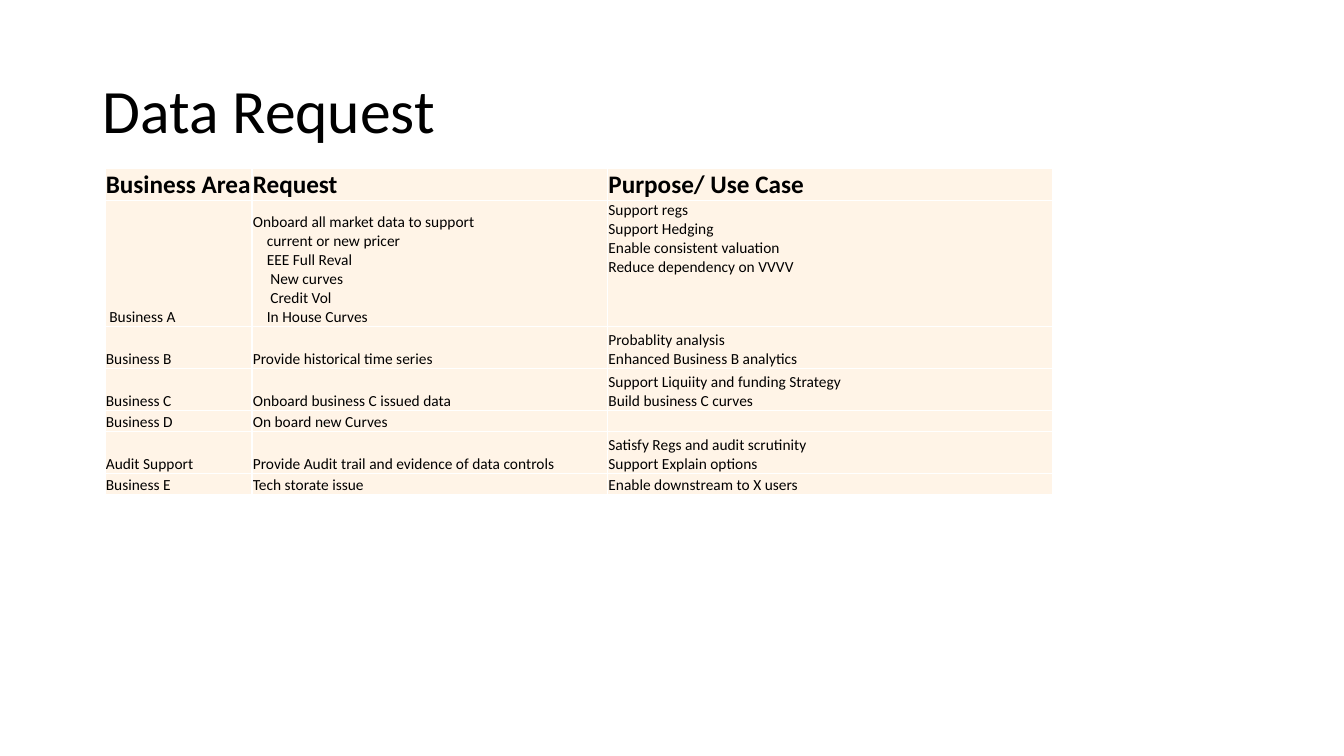
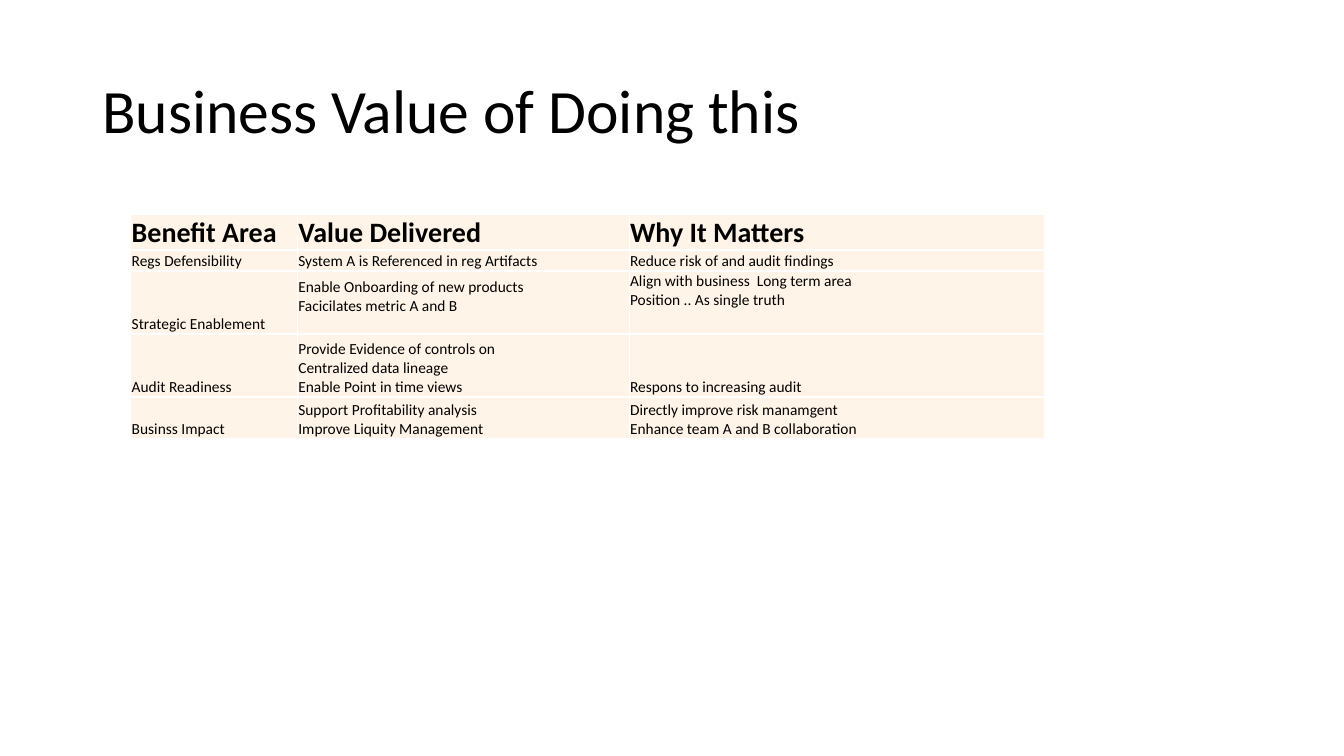
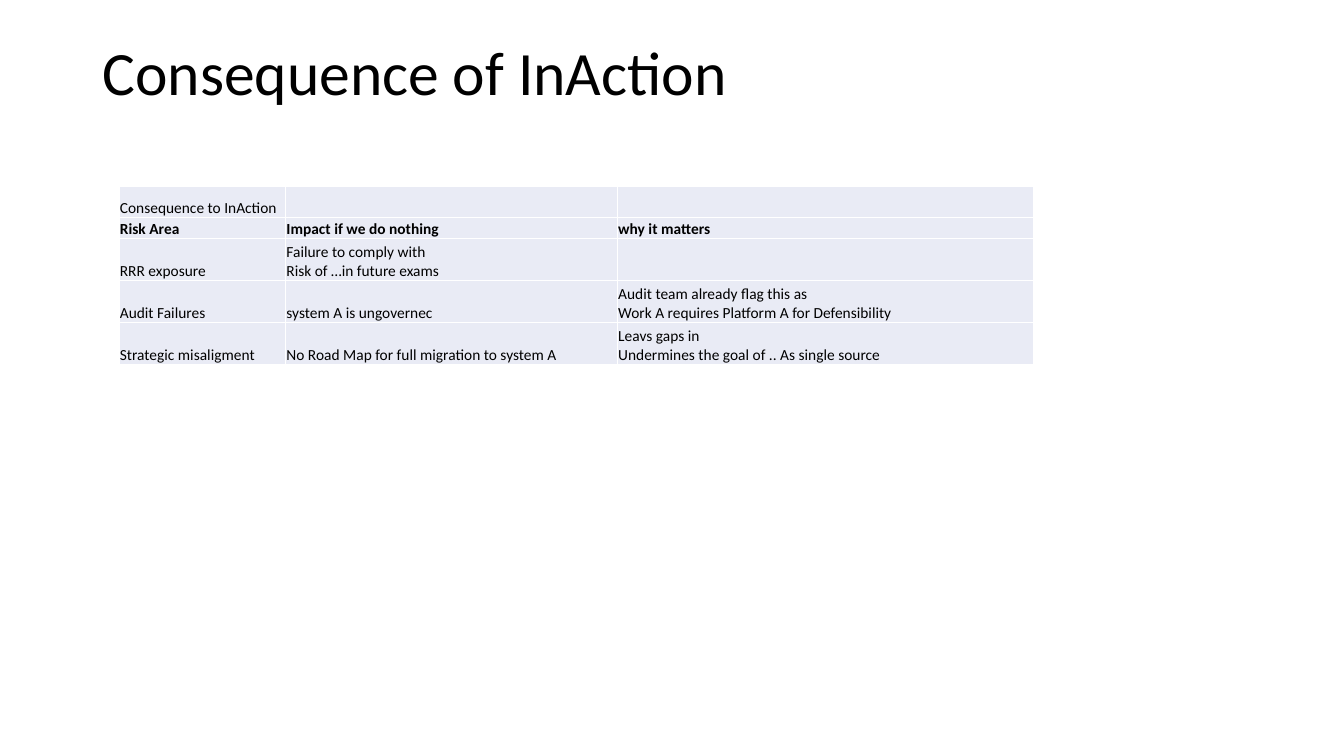
from dataclasses import dataclass
from itertools import zip_longest

from pptx import Presentation
from pptx.dml.color import RGBColor
from pptx.enum.text import MSO_ANCHOR, MSO_AUTO_SIZE, PP_ALIGN
from pptx.util import Pt

# Shared look
FONT = "Calibri"
INK = "000000"
CREAM = "FFF4E7"
MIST = "E9EBF5"
BODY = 11
INSET = 0.6


@dataclass(frozen=True)
class Cell:
    text: str
    pads: tuple[float, ...] = ()  # left indent of each line
    top: bool = False
    foot: float = 0  # space kept free below the text


@dataclass(frozen=True)
class Grid:
    left: float
    top: float
    cols: list[float]
    highs: list[float]
    fill: str
    head: int  # index of the bold row
    size: float  # text size of the bold row
    rows: list[list[str | Cell]]


@dataclass(frozen=True)
class Page:
    title: str
    grid: Grid
    high: bool = False  # title sits at the top of its box


PAGES = [
    Page("Data Request", Grid(
        75, 120.5, [105, 254, 318], [22.5, 90, 30, 30, 15, 30, 15],
        CREAM, 0, 18, [
            ["Business Area", "Request", "Purpose/ Use Case"],
            [Cell("Business A", (2.5,)),
             Cell("Onboard all market data to support\ncurrent or new pricer\n"
                  "EEE Full Reval\nNew curves\nCredit Vol\nIn House Curves",
                  (0, 10, 10, 12.5, 12.5, 10)),
             Cell("Support regs\nSupport Hedging\nEnable consistent valuation\n"
                  "Reduce dependency on VVVV", top=True)],
            ["Business B", "Provide historical time series",
             "Probablity analysis\nEnhanced Business B analytics"],
            ["Business C", "Onboard business C issued data",
             "Support Liquiity and funding Strategy\nBuild business C curves"],
            ["Business D", "On board new Curves", ""],
            ["Audit Support", "Provide Audit trail and evidence of data controls",
             "Satisfy Regs and audit scrutinity\nSupport Explain options"],
            ["Business E", "Tech storate issue", "Enable downstream to X users"],
        ])),
    Page("Business Value of Doing this", Grid(
        93.5, 153.5, [119, 237, 297], [25, 15, 45, 45, 30],
        CREAM, 0, 20, [
            ["Benefit Area", "Value Delivered", "Why It Matters"],
            ["Regs Defensibility", "System A is Referenced in reg Artifacts",
             "Reduce risk of and audit findings"],
            ["Strategic Enablement",
             Cell("Enable Onboarding of new products\nFacicilates metric A and B",
                  foot=13.4),
             Cell("Align with business  Long term area\n"
                  "Position .. As single truth", top=True)],
            ["Audit Readiness",
             "Provide Evidence of controls on\nCentralized data lineage\n"
             "Enable Point in time views", "Respons to increasing audit"],
            ["Businss Impact",
             "Support Profitability analysis\nImprove Liquity Management",
             "Directly improve risk manamgent\nEnhance team A and B collaboration"],
        ])),
    Page("Consequence of InAction", Grid(
        85, 133, [119, 237, 297], [22.5, 15, 30, 30, 30],
        MIST, 1, BODY, [
            ["Consequence to InAction", "", ""],
            ["Risk Area", "Impact if we do nothing", "why it matters"],
            ["RRR exposure", "Failure to comply with\nRisk of …in future exams", ""],
            ["Audit Failures", "system A is ungovernec",
             "Audit team already flag this as\n"
             "Work A requires Platform A for Defensibility"],
            ["Strategic misaligment", "No Road Map for full migration to system A",
             "Leavs gaps in\nUndermines the goal of .. As single source"],
        ]), high=True),
]


def tint(code: str) -> RGBColor:
    return RGBColor.from_string(code)


def style(para, size: float, bold: bool = False) -> None:
    font = para.font
    font.name, font.size, font.bold = FONT, Pt(size), bold
    font.color.rgb = tint(INK)


def put_title(slide, page: Page) -> None:
    box = slide.shapes.title
    box.left, box.top, box.width, box.height = Pt(66), Pt(28.8), Pt(828), Pt(104.4)
    frame = box.text_frame
    frame.text = page.title
    frame.word_wrap = True
    frame.auto_size = MSO_AUTO_SIZE.NONE
    frame.vertical_anchor = MSO_ANCHOR.TOP if page.high else MSO_ANCHOR.MIDDLE
    if page.high:
        frame.margin_top = Pt(1.6)
    para = frame.paragraphs[0]
    para.alignment = PP_ALIGN.LEFT
    para.line_spacing = 0.9
    style(para, 44)


def fill_cell(spot, cell: Cell, fill: str, size: float, bold: bool) -> None:
    spot.fill.solid()
    spot.fill.fore_color.rgb = tint(fill)
    spot.margin_left = spot.margin_right = spot.margin_top = Pt(INSET)
    spot.margin_bottom = Pt(cell.foot)
    spot.vertical_anchor = MSO_ANCHOR.TOP if cell.top else MSO_ANCHOR.BOTTOM
    spot.text = cell.text
    paras = spot.text_frame.paragraphs
    for para, pad in zip_longest(paras, cell.pads, fillvalue=0):
        style(para, size, bold)
        if pad:
            para._p.get_or_add_pPr().set("marL", str(Pt(pad)))


def put_grid(slide, grid: Grid) -> None:
    table = slide.shapes.add_table(
        len(grid.highs), len(grid.cols), Pt(grid.left), Pt(grid.top),
        Pt(sum(grid.cols)), Pt(sum(grid.highs))).table
    table.first_row = table.horz_banding = False
    for col, width in zip(table.columns, grid.cols):
        col.width = Pt(width)
    for i, (row, high) in enumerate(zip(table.rows, grid.highs)):
        row.height = Pt(high)
        bold = i == grid.head
        for spot, item in zip(row.cells, grid.rows[i]):
            cell = item if isinstance(item, Cell) else Cell(item)
            fill_cell(spot, cell, grid.fill, grid.size if bold else BODY, bold)


def main() -> None:
    deck = Presentation()
    deck.slide_width, deck.slide_height = Pt(960), Pt(540)
    for page in PAGES:
        slide = deck.slides.add_slide(deck.slide_layouts[5])
        put_title(slide, page)
        put_grid(slide, page.grid)
    deck.save("out.pptx")


if __name__ == "__main__":
    main()
